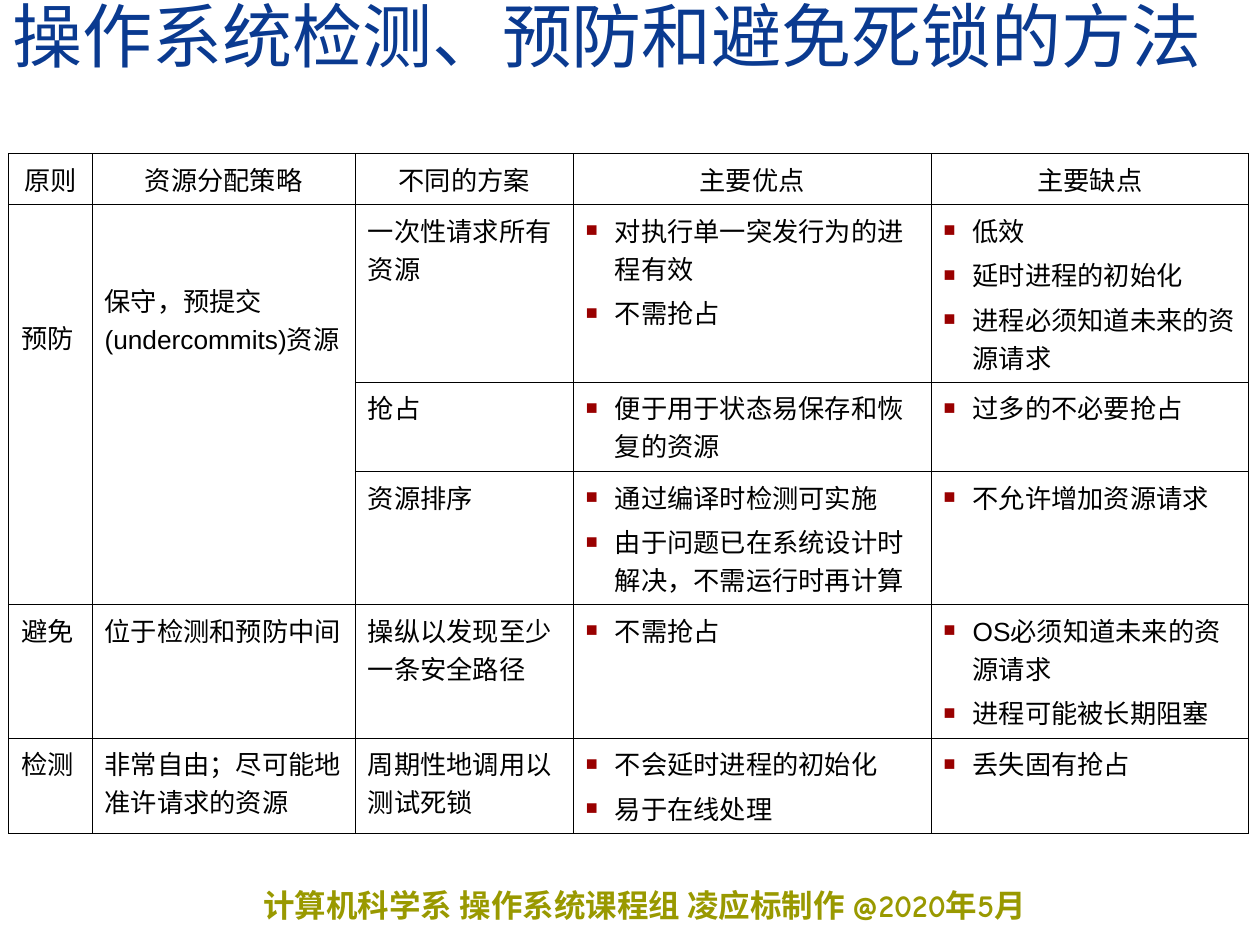
from dataclasses import dataclass

from lxml import etree
from pptx import Presentation
from pptx import util as u
from pptx.dml.color import RGBColor
from pptx.enum import text
from pptx.oxml import ns

HUES = {"title": "0A3A90", "foot": "999900", "ink": "000000", "mark": "990000"}
COLS = [0.66, 2.09, 1.73, 2.84, 2.52]
ROWS = [0.4, 1.41, 0.71, 1.05, 1.06, 0.75]


@dataclass
class Cell:
    lines: list[str]
    top: float = 0.05


HEAD = ["原则", "资源分配策略", "不同的方案", "主要优点", "主要缺点"]
# None marks a cell covered by the merge above it
BODY = [
    [Cell(["预防"], 0.9), Cell(["保守，预提交(undercommits)资源"], 0.61),
     Cell(["一次性请求所有资源"]),
     Cell(["对执行单一突发行为的进程有效", "不需抢占"]),
     Cell(["低效", "延时进程的初始化", "进程必须知道未来的资源请求"])],
    [None, None, Cell(["抢占"]), Cell(["便于用于状态易保存和恢复的资源"]),
     Cell(["过多的不必要抢占"])],
    [None, None, Cell(["资源排序"]),
     Cell(["通过编译时检测可实施", "由于问题已在系统设计时解决，不需运行时再计算"]),
     Cell(["不允许增加资源请求"])],
    [Cell(["避免"]), Cell(["位于检测和预防中间"]), Cell(["操纵以发现至少一条安全路径"]),
     Cell(["不需抢占"]), Cell(["OS必须知道未来的资源请求", "进程可能被长期阻塞"])],
    [Cell(["检测"]), Cell(["非常自由；尽可能地准许请求的资源"]),
     Cell(["周期性地调用以测试死锁"]),
     Cell(["不会延时进程的初始化", "易于在线处理"]), Cell(["丢失固有抢占"])],
]


def put(obj, **vals) -> None:
    for key, val in vals.items():
        setattr(obj, key, val)


def add(host, tag: str, **attrs: str):
    return etree.SubElement(host, ns.qn(tag), attrs)


def write(para, words: str, face: str, size: float, hue: str, bold=False) -> None:
    run = para.add_run()
    run.text = words
    put(run.font, name=face, size=u.Pt(size), bold=bold)
    run.font.color.rgb = RGBColor.from_string(HUES[hue])


def mark(para) -> None:
    """Give a paragraph a small square bullet with a hanging indent."""
    props = para._p.get_or_add_pPr()
    dent = u.Inches(0.23)
    props.set("marL", str(dent))
    props.set("indent", str(-dent))
    add(add(props, "a:buClr"), "a:srgbClr", val=HUES["mark"])
    add(props, "a:buSzPct", val="75000")
    add(props, "a:buFont", typeface="Arial")
    add(props, "a:buChar", char="■")


def edge(cell) -> None:
    """Draw a thin line on all four sides of a cell."""
    props = cell._tc.get_or_add_tcPr()
    for side in "LRTB":
        line = add(props, f"a:ln{side}", w=str(u.Pt(0.45)))
        add(add(line, "a:solidFill"), "a:srgbClr", val=HUES["ink"])


def fill(cell, data: Cell, mid: bool, dots: bool) -> None:
    put(cell, margin_top=u.Inches(data.top), margin_bottom=u.Inches(0.05),
        margin_left=u.Inches(0.1), margin_right=u.Inches(0.1))
    frame = cell.text_frame
    for i, words in enumerate(data.lines):
        para = frame.add_paragraph() if i else frame.paragraphs[0]
        if i:
            para.space_before = u.Pt(3.7)
        if dots:
            mark(para)
        if mid:
            para.alignment = text.PP_ALIGN.CENTER
        write(para, words, "Arial", 15, "ink")


def main() -> None:
    deck = Presentation()
    put(deck, slide_width=u.Inches(10), slide_height=u.Inches(7.5))
    slide = deck.slides.add_slide(deck.slide_layouts[5])

    # Title
    title = slide.shapes.title
    put(title, left=0, top=0, width=u.Inches(10), height=u.Inches(0.65))
    put(title.text_frame, vertical_anchor=text.MSO_ANCHOR.BOTTOM,
        auto_size=text.MSO_AUTO_SIZE.NONE, word_wrap=True)
    para = title.text_frame.paragraphs[0]
    put(para, alignment=text.PP_ALIGN.LEFT, line_spacing=0.8)
    write(para, "操作系统检测、预防和避免死锁的方法", "Times New Roman", 40, "title")

    # Table
    grid = slide.shapes.add_table(
        len(ROWS), len(COLS), u.Inches(0.07), u.Inches(1.22),
        u.Inches(sum(COLS)), u.Inches(sum(ROWS))).table
    put(grid, first_row=False, horz_banding=False)
    for col, wide in zip(grid.columns, COLS):
        col.width = u.Inches(wide)
    for row, high in zip(grid.rows, ROWS):
        row.height = u.Inches(high)
    for c in (0, 1):
        grid.cell(1, c).merge(grid.cell(3, c))
    for r, row in enumerate([[Cell([words]) for words in HEAD]] + BODY):
        for c, data in enumerate(row):
            cell = grid.cell(r, c)
            edge(cell)
            cell.fill.background()
            if data:
                fill(cell, data, mid=r == 0, dots=r > 0 and c > 2)

    # Footer
    foot = slide.shapes.add_textbox(
        u.Inches(2.09), u.Inches(6.98), u.Inches(7.32), u.Inches(0.4)).text_frame
    put(foot, word_wrap=True, margin_left=0, margin_right=0)
    write(foot.paragraphs[0], "计算机科学系 操作系统课程组 凌应标制作 @2020年5月",
          "Comic Neue", 18, "foot", True)

    deck.save("out.pptx")


if __name__ == "__main__":
    main()
